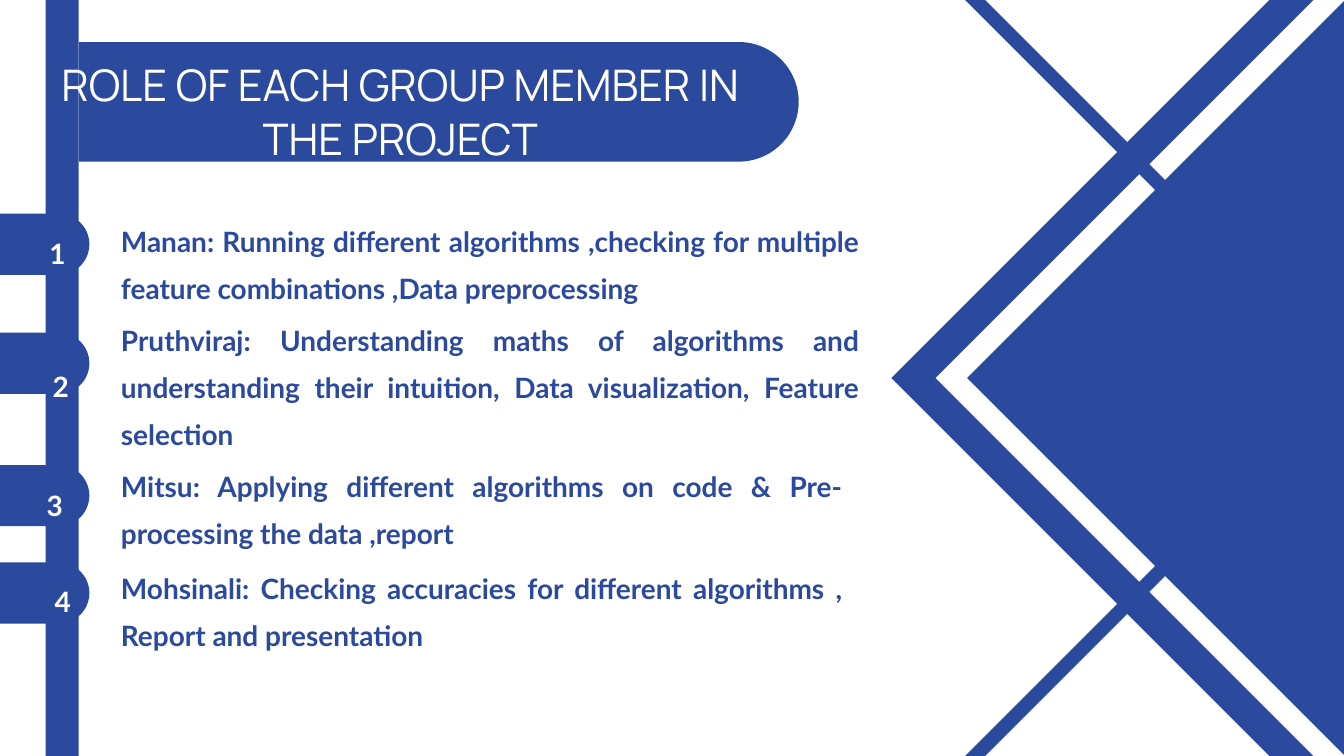
"""Build a slide listing the role of each group member in the project."""
from dataclasses import dataclass

from pptx import Presentation
from pptx.dml.color import RGBColor
from pptx.enum.shapes import MSO_SHAPE
from pptx.enum.text import MSO_AUTO_SIZE, PP_ALIGN
from pptx.util import Inches, Pt


@dataclass(frozen=True)
class Theme:
    blue: RGBColor = RGBColor(0x2B, 0x4A, 0x9D)
    white: RGBColor = RGBColor(0xFF, 0xFF, 0xFF)
    head: str = "Manrope"
    body: str = "Lato"
    big: float = 46.6
    small: float = 30


theme = Theme()
deck = Presentation()
deck.slide_width = Inches(20)
deck.slide_height = Inches(11.25)
slide = deck.slides.add_slide(deck.slide_layouts[6])


def add_form(kind, box, fill, turn=0, adjust=()):
    form = slide.shapes.add_shape(kind, *map(Inches, box))
    form.shadow.inherit = False
    form.fill.solid()
    form.fill.fore_color.rgb = fill
    form.line.fill.background()
    form.rotation = turn
    for i, value in enumerate(adjust):
        form.adjustments[i] = value


def add_text(text, box, color, align, font=theme.body, size=theme.small,
             bold=True, space=1.4):
    frame = slide.shapes.add_textbox(*map(Inches, box)).text_frame
    frame.word_wrap = True
    frame.auto_size = MSO_AUTO_SIZE.SHAPE_TO_FIT_TEXT
    frame.margin_left = frame.margin_right = 0
    frame.margin_top = frame.margin_bottom = 0
    para = frame.paragraphs[0]
    para.alignment = align
    para.line_spacing = space
    run = para.add_run()
    run.text = text
    run.font.name = font
    run.font.size = Pt(size)
    run.font.bold = bold
    run.font.color.rgb = color


add_form(MSO_SHAPE.RECTANGLE, (0.68, 0, 0.49, 11.25), theme.blue)
add_form(MSO_SHAPE.RECTANGLE, (15.57, 0.06, 11.13, 11.13), theme.blue, 45)
add_form(MSO_SHAPE.FRAME, (16.05, 0.49, 10.27, 10.27), theme.white, 45, [0.032])
for top in (8.8, -4.29):
    add_form(MSO_SHAPE.FRAME, (14.84, top, 6.74, 6.74), theme.blue, 45, [0.031])

tab = MSO_SHAPE.ROUND_2_SAME_RECTANGLE
add_form(tab, (5.64, -3.84, 1.78, 10.71), theme.blue, 90, [0.5, 0])
add_text("ROLE OF EACH GROUP MEMBER IN THE PROJECT", (0.68, 0.82, 10.55, 1.42),
         theme.white, PP_ALIGN.CENTER, theme.head, theme.big, False, 1.05)

roles = [
    (2.56, 0.59, 3.32, 3.14, 10.99, 1.21,
     "Manan: Running different algorithms ,checking for multiple feature "
     "combinations ,Data preprocessing"),
    (4.33, 0.64, 5.3, 4.62, 10.99, 1.92,
     "Pruthviraj: Understanding maths of algorithms and understanding their "
     "intuition, Data visualization, Feature selection"),
    (6.3, 0.55, 7.07, 6.79, 10.74, 1.16,
     "Mitsu: Applying different algorithms on code & Pre-processing the data "
     ",report"),
    (7.75, 0.67, 8.5, 8.3, 10.74, 1.16,
     "Mohsinali: Checking accuracies for different algorithms , Report and "
     "presentation"),
]
for num, (top, left, mark, line, wide, high, role) in enumerate(roles, 1):
    add_form(tab, (-0.2, top, 0.91, 2.15), theme.blue, 90, [0.5, 0])
    add_text(str(num), (left, mark, 0.53, 0.57), theme.white, PP_ALIGN.CENTER)
    add_text(role, (1.8, line, wide, high), theme.blue, PP_ALIGN.JUSTIFY)

deck.save("out.pptx")
